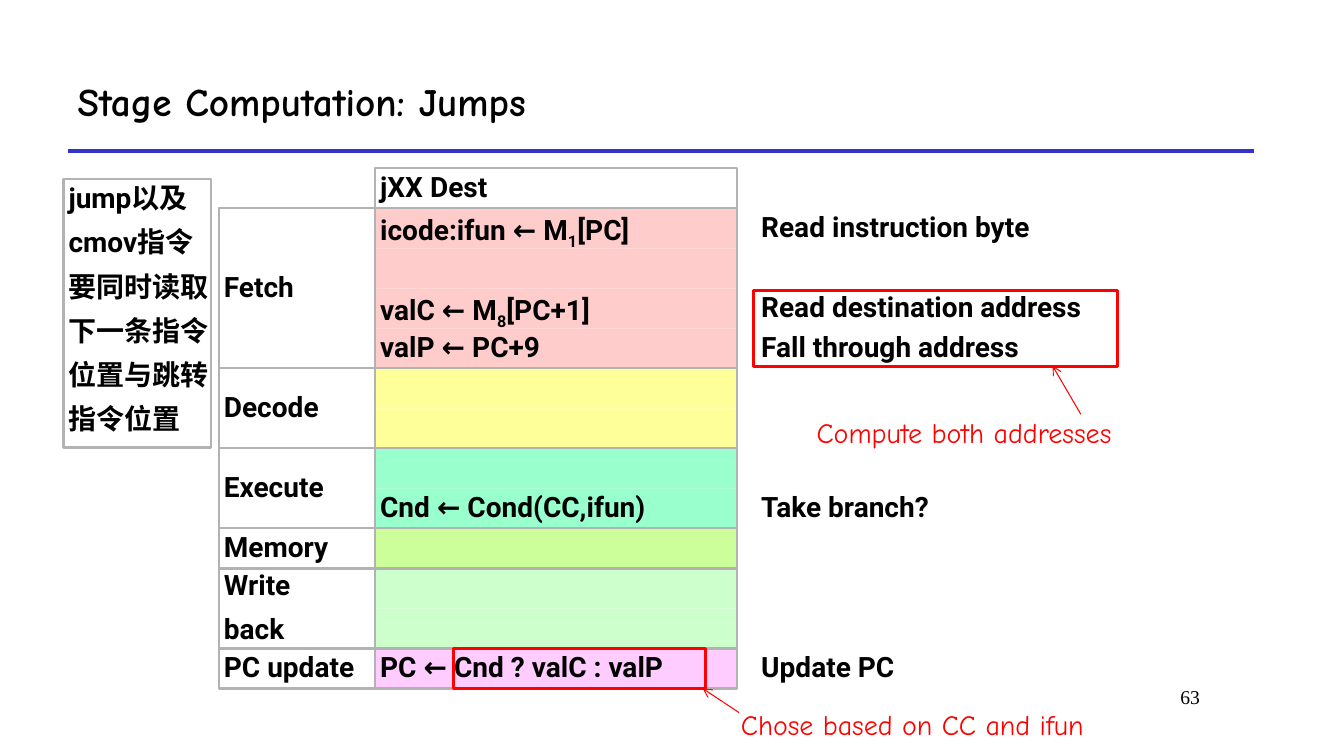
from lxml import etree
from pptx import Presentation
from pptx import util as u
from pptx.dml.color import RGBColor
from pptx.enum import shapes, text
from pptx.oxml.ns import qn

BLACK = RGBColor(0x00, 0x00, 0x00)
WHITE = RGBColor(0xFF, 0xFF, 0xFF)
RED = RGBColor(0xFF, 0x00, 0x00)
GRAY = RGBColor(0xB2, 0xB2, 0xB2)
BLUE = RGBColor(0x33, 0x33, 0xCC)
BODY, HAND = "Roboto", "Comic Neue"

# Table grid, in inches: stage, computation and note columns; equal rows
TOP, ROW = 1.67, 0.397
STAGE_X, STAGE_W = 2.17, 1.55
COMP_X, COMP_W = 3.72, 3.59
NOTE_X = 7.5

# Stage label, colour, (computation, note) per row; |n| marks a subscript
STAGES = [
    ("Fetch", RGBColor(0xFF, 0xCC, 0xCC), [
        ("icode:ifun ← M|1|[PC]", "Read instruction byte"),
        ("", ""),
        ("valC ← M|8|[PC+1]", "Read destination address"),
        ("valP ← PC+9", "Fall through address")]),
    ("Decode", RGBColor(0xFF, 0xFF, 0x99), [("", ""), ("", "")]),
    ("Execute", RGBColor(0x99, 0xFF, 0xCC),
     [("", ""), ("Cnd ← Cond(CC,ifun)", "Take branch?")]),
    ("Memory", RGBColor(0xCC, 0xFF, 0x99), [("", "")]),
    ("Write\nback", RGBColor(0xCC, 0xFF, 0xCC), [("", ""), ("", "")]),
    ("PC update", RGBColor(0xFF, 0xCC, 0xFF),
     [("PC ← Cnd ? valC : valP", "Update PC")]),
]
ASIDE = "jump以及\ncmov指令\n要同时读取\n下一条指令\n位置与跳转\n指令位置"


def add_box(s, box, fill=None, line=None, width=1.5):
    sp = s.shapes.add_shape(shapes.MSO_SHAPE.RECTANGLE, *map(u.Inches, box))
    sp.shadow.inherit = False
    if fill is None:
        sp.fill.background()
    else:
        sp.fill.solid()
        sp.fill.fore_color.rgb = fill
    if line is None:
        sp.line.fill.background()
    else:
        sp.line.color.rgb = line
        sp.line.width = u.Pt(width)
    return sp


def style_font(font, name, size, color, bold):
    font.name, font.size, font.bold = name, u.Pt(size), bold
    font.color.rgb = color


def write(sp, words, anchor=text.MSO_ANCHOR.TOP, wrap=True, inset=0.05,
          font=BODY, color=BLACK, bold=True):
    tf = sp.text_frame
    tf.word_wrap, tf.vertical_anchor = wrap, anchor
    tf.margin_left = tf.margin_right = u.Inches(inset)
    tf.margin_top = tf.margin_bottom = u.Inches(0.05)
    for i, line in enumerate(words.split("\n")):
        p = tf.add_paragraph() if i else tf.paragraphs[0]
        p.alignment, p.line_spacing = text.PP_ALIGN.LEFT, 0.9
        if i:
            p.space_before = u.Pt(10)
        for j, part in enumerate(line.split("|")):
            r = p.add_run()
            r.text = part
            style_font(r.font, font, 20, color, bold)
            if j % 2:
                r._r.get_or_add_rPr().set("baseline", "-25000")


def add_line(s, start, end, color, width, arrow=False):
    c = s.shapes.add_connector(shapes.MSO_CONNECTOR.STRAIGHT,
                               *map(u.Inches, start + end))
    c.line.color.rgb = color
    c.line.width = u.Pt(width)
    if arrow:
        ln = c.line._get_or_add_ln()
        etree.SubElement(ln, qn("a:tailEnd")).set("type", "arrow")
    etree.SubElement(c._element.spPr, qn("a:effectLst"))


def add_header(s):
    add_line(s, (0.67, 1.5), (12.44, 1.5), BLUE, 3)
    title = s.shapes.title
    title.left, title.top, title.width, title.height = map(
        u.Inches, (0.67, 0.5, 11.78, 1))
    tf = title.text_frame
    tf.text = "Stage Computation: Jumps"
    tf.vertical_anchor = text.MSO_ANCHOR.MIDDLE
    p = tf.paragraphs[0]
    p.alignment = text.PP_ALIGN.LEFT
    style_font(p.runs[0].font, HAND, 28, BLACK, True)


def add_page_number(s):
    sp = s.shapes.add_textbox(*map(u.Inches, (10.11, 6.75, 1.89, 0.5)))
    tf = sp.text_frame
    tf.word_wrap = True
    tf.text = "63"
    p = tf.paragraphs[0]
    p.alignment = text.PP_ALIGN.RIGHT
    style_font(p.runs[0].font, "Times New Roman", 14, BLACK, False)


def add_stage(s, y, label, color, rows):
    for i, (step, note) in enumerate(rows):
        row_y = y + i * ROW
        strip = add_box(s, (COMP_X, row_y, COMP_W, ROW), fill=color)
        if step:
            write(strip, step)
        if note:
            sp = s.shapes.add_textbox(
                *map(u.Inches, (NOTE_X, row_y, COMP_W, ROW)))
            write(sp, note)
    height = len(rows) * ROW
    add_box(s, (COMP_X, y, COMP_W, height), line=GRAY)
    write(add_box(s, (STAGE_X, y, STAGE_W, height), line=GRAY), label,
          anchor=text.MSO_ANCHOR.MIDDLE)


def add_stage_table(s):
    write(add_box(s, (COMP_X, TOP, COMP_W, ROW), line=GRAY), "jXX Dest")
    y = TOP + ROW
    for label, color, rows in STAGES:
        add_stage(s, y, label, color, rows)
        y += len(rows) * ROW


def add_callout(s, words, label, frame, start, end):
    """Red frame with a handwritten label and an arrow between them."""
    sp = add_box(s, label, fill=WHITE)
    write(sp, words, wrap=False, inset=0.1, font=HAND, color=RED, bold=False)
    sp.text_frame.auto_size = text.MSO_AUTO_SIZE.SHAPE_TO_FIT_TEXT
    add_box(s, frame, line=RED, width=2.25)
    add_line(s, start, end, RED, 0.75, arrow=True)


def main():
    prs = Presentation()
    prs.slide_width, prs.slide_height = u.Inches(13.33), u.Inches(7.5)
    s = prs.slides.add_slide(prs.slide_layouts[5])
    add_header(s)
    add_page_number(s)
    add_stage_table(s)
    add_callout(s, "Compute both addresses", (8, 4.11, 3.42, 0.4),
                (7.47, 2.88, 3.61, 0.76), (10.72, 4.11), (10.44, 3.63))
    add_callout(s, "Chose based on CC and ifun", (7.25, 7.01, 3.76, 0.4),
                (4.5, 6.43, 2.5, 0.4), (7.33, 7.07), (6.97, 6.83))
    # Side remark on reading both positions
    write(add_box(s, (0.63, 1.78, 1.46, 2.66), line=GRAY), ASIDE, wrap=False)
    prs.save("out.pptx")


if __name__ == "__main__":
    main()
